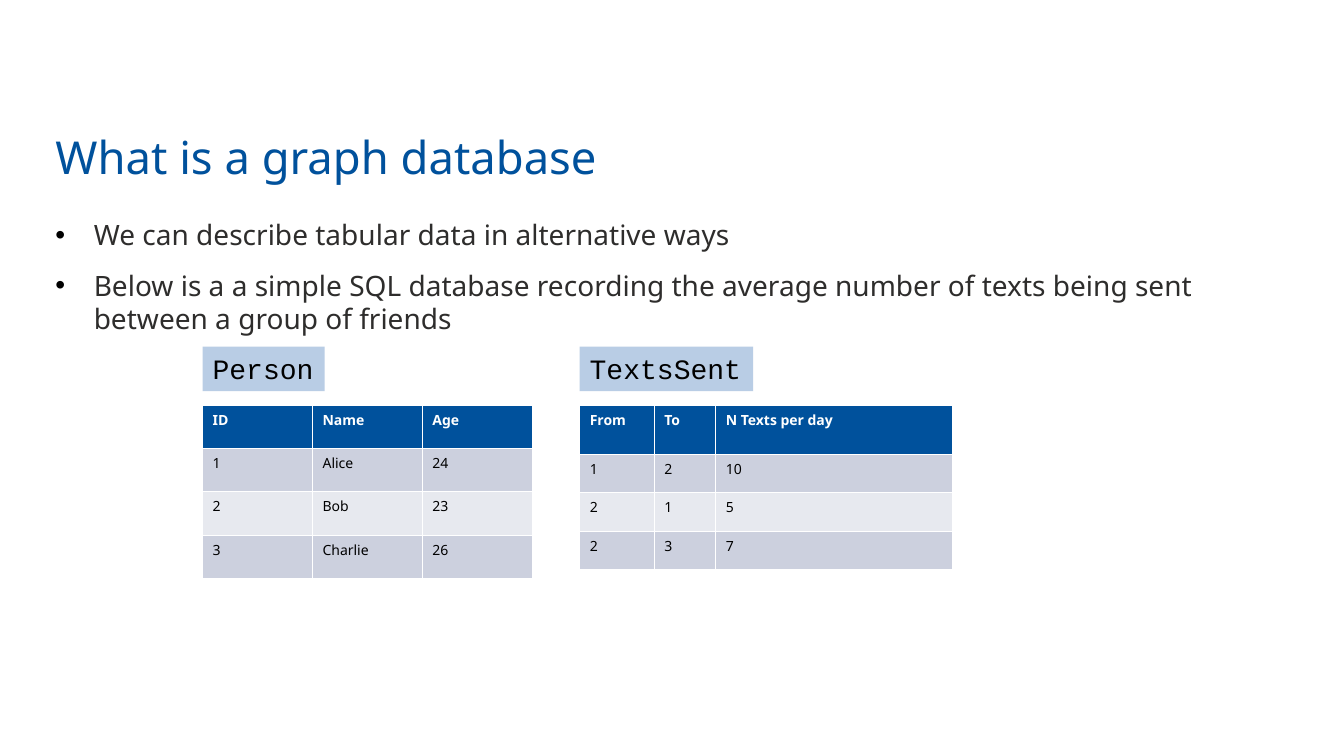
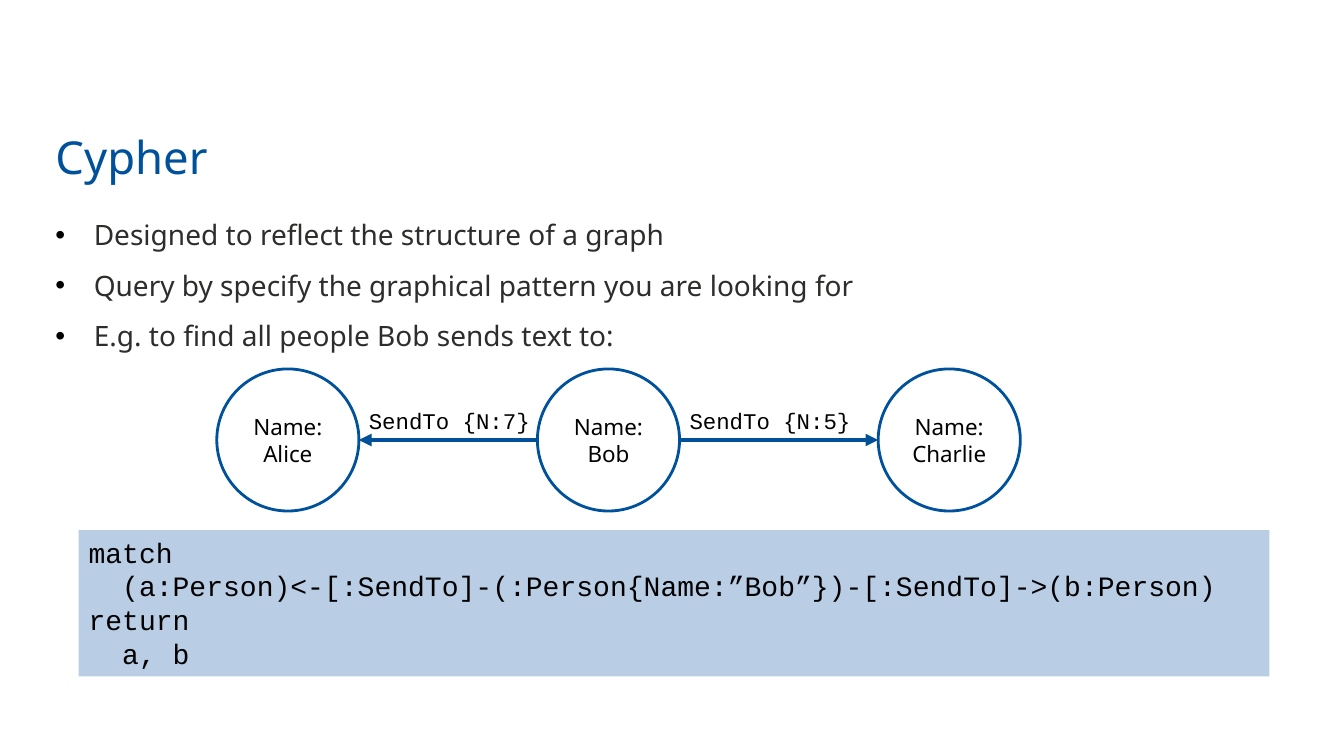
import dataclasses
import pptx
import pptx.util
import pptx.dml.color
import pptx.enum.shapes
import pptx.enum.text
import pptx.oxml.ns
import lxml.etree

Inches = pptx.util.Inches
Pt = pptx.util.Pt
Shape = pptx.enum.shapes.MSO_SHAPE
Anchor = pptx.enum.text.MSO_ANCHOR
Align = pptx.enum.text.PP_ALIGN
Fit = pptx.enum.text.MSO_AUTO_SIZE


@dataclasses.dataclass(frozen=True)
class Theme:
    """Colours, fonts and type sizes of the deck."""
    blue: str = "00519C"
    arrow: str = "004F99"
    pale: str = "B9CDE5"
    bands: tuple = ("CCD0DE", "E7E9EF")
    white: str = "FFFFFF"
    black: str = "000000"
    ink: str = "2E2D2C"
    sans: str = "Noto Sans"
    mono: str = "Courier New"
    title: float = 32.4
    body: float = 20
    node: float = 16
    cell: float = 10


T = Theme()
TITLE = (0.45, 1.13, 9.98, 0.69)
BODY = (0.45, 2.11, 12.47, 4.97)


def rgb(code):
    """Turn a hex code into a colour."""
    return pptx.dml.color.RGBColor.from_string(code)


def place(shape, box):
    """Move a shape to a box given in inches."""
    shape.left, shape.top, shape.width, shape.height = map(Inches, box)


def style(para, face, size, colour, align=Align.LEFT, bold=False):
    """Set the font and alignment of a paragraph."""
    font = para.font
    font.name, font.size, font.bold = face, Pt(size), bold
    font.color.rgb = rgb(colour)
    para.alignment = align


def add_node(parent, tag, **attrs):
    """Append a drawing element to an XML parent."""
    return lxml.etree.SubElement(parent, pptx.oxml.ns.qn(tag), attrs)


def add_bullet(para):
    """Give a paragraph a black bullet with a hanging indent."""
    props = para._p.get_or_add_pPr()
    props.set("marL", str(Inches(0.38)))
    props.set("indent", str(Inches(-0.38)))
    add_node(add_node(props, "a:buClr"), "a:srgbClr", val=T.black)
    add_node(props, "a:buFont", typeface="Arial")
    add_node(props, "a:buChar", char="•")


def add_page(deck, title, points):
    """Add a slide with its title and bullet list."""
    page = deck.slides.add_slide(deck.slide_layouts[1])
    head, body = page.placeholders
    place(head, TITLE)
    frame = head.text_frame
    frame.text = title
    frame.auto_size = Fit.NONE
    frame.vertical_anchor = Anchor.BOTTOM
    frame.margin_bottom = 0
    style(frame.paragraphs[0], T.sans, T.title, T.blue)

    place(body, BODY)
    frame = body.text_frame
    frame.text = "\n".join(points)
    frame.auto_size = Fit.NONE
    for para in frame.paragraphs:
        style(para, T.sans, T.body, T.ink)
        para.line_spacing = Pt(24)
        para.space_before = para.space_after = Pt(6)
        add_bullet(para)
    return page


def add_code(page, box, text, wrap=True):
    """Add a pale panel of code."""
    panel = page.shapes.add_shape(Shape.RECTANGLE, *map(Inches, box))
    panel.shadow.inherit = False
    panel.fill.solid()
    panel.fill.fore_color.rgb = rgb(T.pale)
    panel.line.fill.background()
    frame = panel.text_frame
    frame.text = text
    frame.word_wrap = wrap
    frame.auto_size = Fit.SHAPE_TO_FIT_TEXT
    frame.vertical_anchor = Anchor.TOP
    for para in frame.paragraphs:
        style(para, T.mono, T.body, T.black)


def add_grid(page, box, name, tag, widths, heights, rows):
    """Add a named data table; tag is the width of its name panel."""
    x, y, w, h = box
    add_code(page, (x, y, tag, 0.44), name, wrap=False)
    grid = page.shapes.add_table(len(rows), len(widths), *map(
        Inches, (x, y + 0.58, w, h - 0.58))).table
    for col, width in zip(grid.columns, widths):
        col.width = Inches(width)
    for i, (row, height, texts) in enumerate(zip(grid.rows, heights, rows)):
        row.height = Inches(height)
        top = i == 0
        for cell, text in zip(row.cells, texts):
            cell.text = text
            cell.fill.solid()
            cell.fill.fore_color.rgb = rgb(T.blue if top else T.bands[(i - 1) % 2])
            style(cell.text_frame.paragraphs[0], T.sans, T.cell,
                  T.white if top else T.black, bold=top)


def add_person(page, box, name):
    """Add a round node for a person."""
    node = page.shapes.add_shape(Shape.OVAL, *map(Inches, box))
    node.shadow.inherit = False
    node.fill.solid()
    node.fill.fore_color.rgb = rgb(T.white)
    node.line.color.rgb = rgb(T.blue)
    node.line.width = Pt(2)
    frame = node.text_frame
    frame.text = f"Name: {name}"
    frame.word_wrap = True
    frame.vertical_anchor = Anchor.MIDDLE
    style(frame.paragraphs[0], T.sans, T.node, T.black, Align.CENTER)


def add_link(page, start, end, y, text):
    """Add an arrow from start to end with its label above."""
    link = page.shapes.add_connector(
        pptx.enum.shapes.MSO_CONNECTOR.STRAIGHT,
        *map(Inches, (start, y, end, y)))
    link.line.color.rgb = rgb(T.arrow)
    link.line.width = Pt(3)
    add_node(link.line._get_or_add_ln(), "a:tailEnd", type="triangle")
    add_node(link._element.spPr, "a:effectLst")
    label = page.shapes.add_textbox(
        *map(Inches, (min(start, end), y - 0.38, 2.01, 0.38)))
    frame = label.text_frame
    frame.text = text
    frame.word_wrap = True
    style(frame.paragraphs[0], T.mono, T.node, T.black)


def add_graph(page, box):
    """Add three people and the links out of the middle one."""
    x, y, w, size = box
    alice, bob, charlie = x, x + 3.18, x + w - size
    for left, name in ((alice, "Alice"), (bob, "Bob"), (charlie, "Charlie")):
        add_person(page, (left, y, size, size), name)
    mid = y + size / 2
    add_link(page, bob, alice + size, mid, "SendTo {N:7}")
    add_link(page, bob + size, charlie, mid, "SendTo {N:5}")


def main():
    """Build and save the deck."""
    deck = pptx.Presentation()
    deck.slide_width, deck.slide_height = Inches(13.33), Inches(7.5)

    page = add_page(deck, "What is a graph database", (
        "We can describe tabular data in alternative ways",
        "Below is a a simple SQL database recording the average number of "
        "texts being sent between a group of friends"))
    add_grid(page, (2.01, 3.44, 3.26, 2.29), "Person", 1.21,
             [1.09] * 3, [0.43] * 4,
             (("ID", "Name", "Age"), ("1", "Alice", "24"),
              ("2", "Bob", "23"), ("3", "Charlie", "26")))
    add_grid(page, (5.75, 3.44, 3.69, 2.27), "TextsSent", 1.72,
             (0.74, 0.61, 2.35), (0.49, 0.38, 0.38, 0.38),
             (("From", "To", "N Texts per day"), ("1", "2", "10"),
              ("2", "1", "5"), ("2", "3", "7")))

    page = add_page(deck, "Cypher", (
        "Designed to reflect the structure of a graph",
        "Query by specify the graphical pattern you are looking for",
        "E.g. to find all people Bob sends text to:"))
    add_graph(page, (2.15, 3.66, 7.97, 1.41))
    add_code(page, (0.78, 5.26, 11.81, 1.45), "\n".join((
        "match",
        "  (a:Person)<-[:SendTo]-(:Person{Name:”Bob”})-[:SendTo]->(b:Person)",
        "return",
        "  a, b")))
    deck.save("out.pptx")


main()
